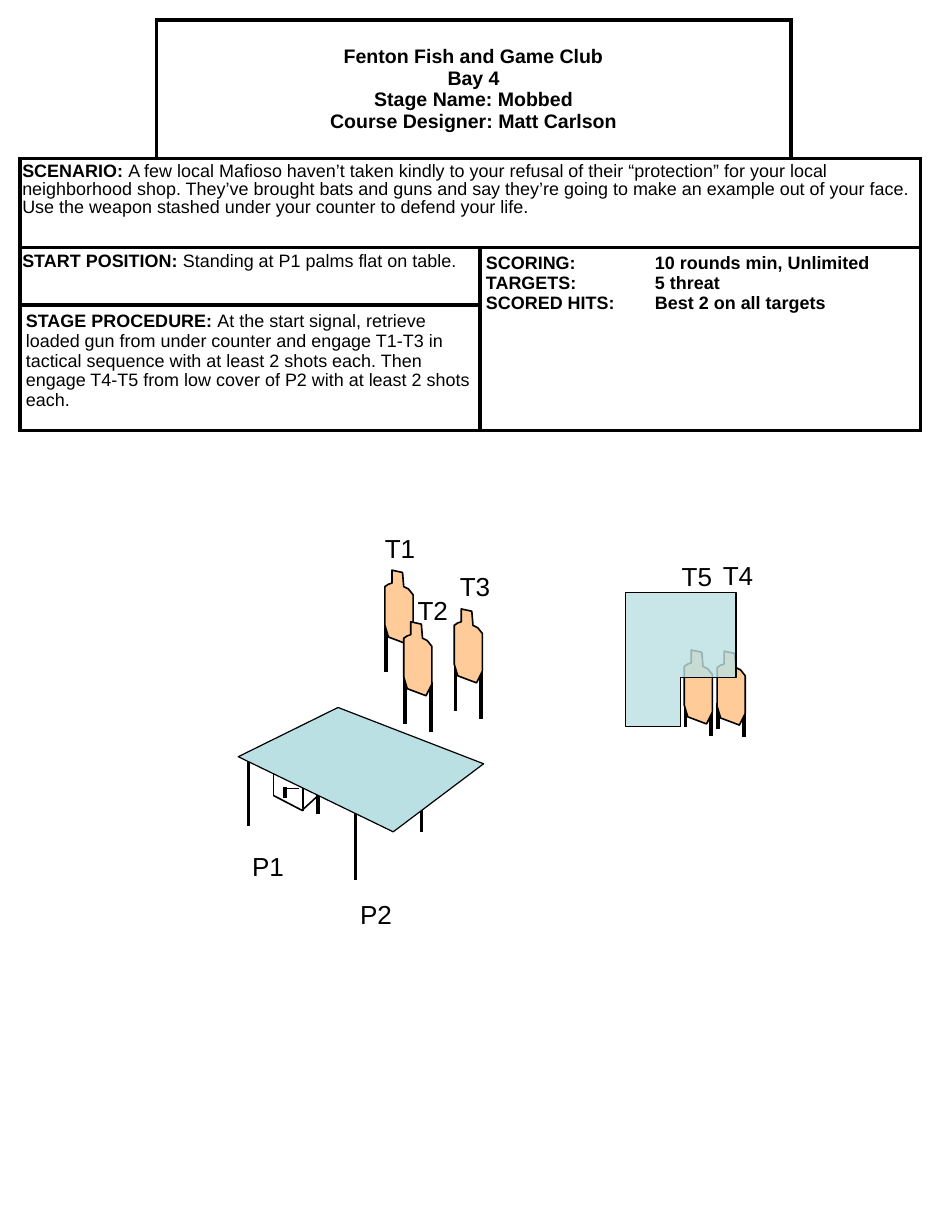
from collections import namedtuple

from lxml import etree
from pptx import Presentation, util as u
from pptx.dml.color import RGBColor
from pptx.enum import shapes, text
from pptx.oxml.ns import qn

BLACK = RGBColor(0x00, 0x00, 0x00)
WHITE = RGBColor(0xFF, 0xFF, 0xFF)
TAN = RGBColor(0xFF, 0xCC, 0x99)
AQUA = RGBColor(0xBB, 0xE0, 0xE3)

UNIT = u.Inches(0.01)  # the page is a grid of 800 columns by 1050 rows
PAGE_COLUMNS, PAGE_ROWS = 800, 1050
Box = namedtuple("Box", "left top width height")

TARGET_OUTLINE = [(15, 2), (6, 0), (6, 11), (3, 12), (0, 14), (0, 47),
                  (3, 57), (19, 63), (24, 53), (24, 21), (20, 16), (16, 14)]
COUNTER_TOP = [(209, 48), (132, 106), (0, 42), (85, 0)]
COUNTER_LINES = [  # x1, y1, x2, y2, points
    (40, 68, 40, 77, 2.25), (40, 69, 52, 69, 1),
    (100, 87, 100, 147, 2), (9, 41, 9, 101, 2),
    (68, 15, 68, 91, 2), (156, 46, 156, 106, 2),
    (30, 56, 30, 75, 1), (55, 68, 55, 88, 1),
    (30, 75, 55, 88, 1), (67, 76, 55, 87, 1)]
TARGETS = [  # left, top, leg length
    (328, 486, 43), (344, 530, 43), (387, 519, 43),
    (583, 554, 22), (611, 555, 22)]
LABELS = [
    ("P1", 205, 720), ("P2", 297, 761), ("T1", 318, 449), ("T2", 346, 502),
    ("T3", 382, 481), ("T5", 571, 473), ("T4", 606, 472)]


def apply_format(thing, **values):
    for name, value in values.items():
        setattr(thing, name, value)


def add_span(para, words, size, bold=False):
    """Add a run, turning each newline into a line break."""
    for number, line in enumerate(words.split("\n")):
        if number:
            para.add_line_break()
        span = para.add_run()
        span.text = line
        apply_format(span.font, name="Arial", size=u.Pt(size), bold=bold)
        span.font.color.rgb = BLACK


def add_borders(cell, sides):
    properties = cell._tc.get_or_add_tcPr()
    for side in sides:
        line = etree.SubElement(properties, qn(f"a:ln{side}"), w=str(u.Pt(2.25)))
        fill = etree.SubElement(line, qn("a:solidFill"))
        etree.SubElement(fill, qn("a:srgbClr"), val=str(BLACK))


def write_cell(cell, paras, size, margins, tab=None, spacing=None,
               anchor=text.MSO_ANCHOR.TOP, align=text.PP_ALIGN.LEFT):
    side, edge = (UNIT * margin for margin in margins)
    apply_format(cell, margin_left=side, margin_right=side, margin_top=edge,
                 margin_bottom=edge, vertical_anchor=anchor)
    for number, spans in enumerate(paras):
        frame = cell.text_frame
        para = frame.add_paragraph() if number else frame.paragraphs[0]
        if tab:
            tabs = etree.SubElement(para._p.get_or_add_pPr(), qn("a:tabLst"))
            etree.SubElement(tabs, qn("a:tab"), pos=str(UNIT * tab), algn="l")
        apply_format(para, alignment=align, line_spacing=spacing)
        for words, bold in spans:
            add_span(para, words, size, bold)


def add_briefing(page, box):
    columns, rows = (116, 276, 265, 110), (118, 76, 49, 107)
    frame = page.shapes.add_table(4, 4, *(UNIT * length for length in box))
    table = frame.table
    apply_format(table, first_row=False, horz_banding=False)
    for column, width in zip(table.columns, columns):
        column.width = UNIT * width
    for row, height in zip(table.rows, rows):
        row.height = UNIT * height

    open_corners = {(0, 0): "RB", (0, 3): "LB"}
    for row in range(4):
        for column in range(4):
            cell = table.cell(row, column)
            add_borders(cell, open_corners.get((row, column), "LRTB"))
            cell.fill.solid()
            cell.fill.fore_color.rgb = WHITE

    for first, last in [((0, 1), (0, 2)), ((1, 0), (1, 3)), ((2, 0), (2, 1)),
                        ((2, 2), (3, 3)), ((3, 0), (3, 1))]:
        table.cell(*first).merge(table.cell(*last))

    write_cell(table.cell(0, 1), [[(
        "Fenton Fish and Game Club\nBay 4\nStage Name: Mobbed\n"
        "Course Designer: Matt Carlson", True)]], 12, (5, 5),
        anchor=text.MSO_ANCHOR.MIDDLE, align=text.PP_ALIGN.CENTER)
    write_cell(table.cell(1, 0), [[("SCENARIO: ", True), (
        "A few local Mafioso haven’t taken kindly to your refusal of their "
        "“protection” for your local neighborhood shop. They’ve brought bats "
        "and guns and say they’re going to make an example out of your face. "
        "Use the weapon stashed under your counter to defend your life.",
        False)]], 11, (2, 4), spacing=0.9)
    write_cell(table.cell(2, 0), [[
        ("START POSITION:", True),
        (" Standing at P1 palms flat on table.", False)]], 11, (2, 3))
    write_cell(table.cell(2, 2), [
        [("SCORING:\t10 rounds min, Unlimited", True)],
        [("TARGETS:\t5 threat", True)],
        [("SCORED HITS:\tBest 2 on all targets", True)]], 11, (5, 5), tab=144)
    write_cell(table.cell(3, 0), [[("STAGE PROCEDURE: ", True), (
        "At the start signal, retrieve loaded gun from under counter and "
        "engage T1-T3 in tactical sequence with at least 2 shots each. Then "
        "engage T4-T5 from low cover of P2 with at least 2 shots each.",
        False)]], 11, (5, 5))


def add_line(group, box, ends, points):
    x1, y1, x2, y2 = ends
    line = group.shapes.add_connector(
        shapes.MSO_CONNECTOR.STRAIGHT, UNIT * (box.left + x1),
        UNIT * (box.top + y1), UNIT * (box.left + x2), UNIT * (box.top + y2))
    line.line.color.rgb = BLACK
    line.line.width = u.Pt(points)
    etree.SubElement(line._element.spPr, qn("a:effectLst"))


def paint(shape, color, points):
    shape.shadow.inherit = False
    shape.fill.solid()
    shape.fill.fore_color.rgb = color
    shape.line.color.rgb = BLACK
    shape.line.width = u.Pt(points)


def add_outline(group, box, corners, color, points):
    places = [(box.left + x, box.top + y) for x, y in corners]
    builder = group.shapes.build_freeform(*places[0], scale=UNIT)
    builder.add_line_segments(places[1:], close=True)
    paint(builder.convert_to_shape(), color, points)


def add_target(page, box, leg):
    group = page.shapes.add_group_shape()
    for x, y in [(23, 51), (1, 44)]:
        add_line(group, box, (x, y, x, y + leg), 2.25)
    add_outline(group, box, TARGET_OUTLINE, TAN, 1)


def add_counter(page, box):
    group = page.shapes.add_group_shape()
    for *ends, points in COUNTER_LINES:
        add_line(group, box, ends, points)
    add_outline(group, box, COUNTER_TOP, AQUA, 0.75)


def add_cover(page, box):
    """Add the see-through wall with its notch at the lower right."""
    wall = page.shapes.add_shape(
        shapes.MSO_SHAPE.CORNER, *(UNIT * length for length in box))
    wall.adjustments[0], wall.adjustments[1] = 0.77, 0.5
    wall.rotation = 180
    wall._element.spPr.xfrm.set("flipH", "1")
    paint(wall, AQUA, 0.75)
    color = wall._element.spPr.find(qn("a:solidFill"))[0]
    etree.SubElement(color, qn("a:alpha"), val="80000")


def add_label(page, box, words):
    label = page.shapes.add_textbox(*(UNIT * length for length in box))
    apply_format(label.text_frame, word_wrap=True, margin_right=0,
                 auto_size=text.MSO_AUTO_SIZE.SHAPE_TO_FIT_TEXT)
    add_span(label.text_frame.paragraphs[0], words, 16)


def main():
    deck = Presentation()
    deck.slide_width = UNIT * PAGE_COLUMNS
    deck.slide_height = UNIT * PAGE_ROWS
    page = deck.slides.add_slide(deck.slide_layouts[6])
    add_briefing(page, Box(17, 17, 767, 350))
    for left, top, leg in TARGETS:
        add_target(page, Box(left, top, 24, 63), leg)
    add_counter(page, Box(203, 603, 209, 106))
    add_cover(page, Box(533, 505, 94, 114))
    for words, left, top in LABELS:
        width = 53 if words.startswith("P") else 46
        add_label(page, Box(left, top, width, 37), words)
    deck.save("out.pptx")


if __name__ == "__main__":
    main()
